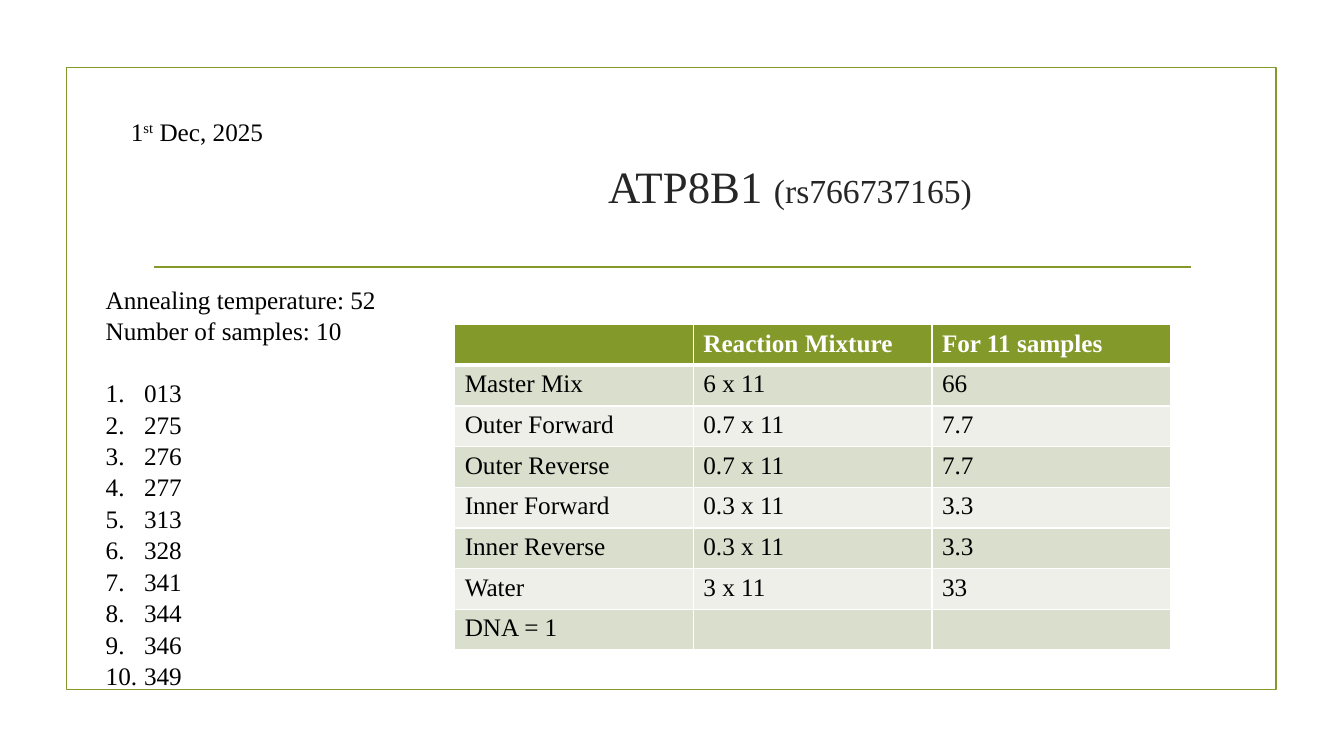
from dataclasses import dataclass

from lxml.etree import SubElement
from pptx import Presentation
from pptx.dml.color import RGBColor as RGB
from pptx.enum.shapes import MSO_CONNECTOR as CONNECTOR, MSO_SHAPE as SHAPE
from pptx.enum.text import MSO_ANCHOR as ANCHOR, PP_ALIGN as ALIGN
from pptx.oxml.ns import qn
from pptx.util import Inches, Pt

DATE = [("1", {}), ("st", {"superscript": True}), (" Dec, 2025", {})]
GENE, VARIANT = "ATP8B1 ", "(rs766737165)"
RUN_FACTS = ["Annealing temperature: 52", "Number of samples: 10"]
SAMPLES = ["013", "275", "276", "277", "313", "328", "341", "344", "346", "349"]
MIXTURE = [
    ("", "Reaction Mixture", "For 11 samples"),
    ("Master Mix", "6 x 11", "66"),
    ("Outer Forward", "0.7 x 11", "7.7"),
    ("Outer Reverse", "0.7 x 11", "7.7"),
    ("Inner Forward", "0.3 x 11", "3.3"),
    ("Inner Reverse", "0.3 x 11", "3.3"),
    ("Water", "3 x 11", "33"),
    ("DNA = 1", "", ""),
]


@dataclass(frozen=True)
class Theme:
    font: str = "Times New Roman"
    green: str = "83992A"
    title: str = "262626"
    text: str = "000000"
    white: str = "FFFFFF"
    bands: tuple = ("EDEFE8", "D9DECD")
    title_size: int = 32
    variant_size: int = 24
    body_size: int = 18
    line_width: float = 1.25
    border: int = 1
    header_border: int = 3
    line_spacing: float = 1.04


THEME = Theme()


def box(*lengths):
    return [Inches(v) for v in lengths]


def add_text(p, text, size=THEME.body_size, color=THEME.text, bold=False,
             superscript=False):
    r = p.add_run()
    r.text = text
    r.font.name = THEME.font
    r.font.size = Pt(size)
    r.font.bold = bold
    r.font.color.rgb = RGB.from_string(color)
    if superscript:
        r.font._element.set("baseline", "30000")


def number_paragraph(p, indent=0.38):
    pPr = p._p.get_or_add_pPr()
    pPr.set("marL", str(Inches(indent)))
    pPr.set("indent", str(-Inches(indent)))
    SubElement(pPr, qn("a:buFont"), typeface=THEME.font)
    SubElement(pPr, qn("a:buAutoNum"), type="arabicPeriod")


def style_line(line):
    line.color.rgb = RGB.from_string(THEME.green)
    line.width = Pt(THEME.line_width)


def add_frame(slide):
    frame = slide.shapes.add_shape(SHAPE.RECTANGLE, *box(0.66, 0.67, 12, 6.17))
    frame.shadow.inherit = False
    frame.fill.background()
    style_line(frame.line)
    rule = slide.shapes.add_connector(CONNECTOR.STRAIGHT, *box(1.53, 2.65, 11.81, 2.65))
    SubElement(rule._element.spPr, qn("a:effectLst"))
    style_line(rule.line)


def add_title(slide):
    title = slide.shapes.title
    title.left, title.top, title.width, title.height = box(5.58, 1.5, 4.51, 0.69)
    tf = title.text_frame
    tf.vertical_anchor = ANCHOR.MIDDLE
    p = tf.paragraphs[0]
    p.alignment = ALIGN.CENTER
    add_text(p, GENE, size=THEME.title_size, color=THEME.title)
    add_text(p, VARIANT, size=THEME.variant_size, color=THEME.title)


def add_text_box(slide, *place):
    tf = slide.shapes.add_textbox(*box(*place)).text_frame
    tf.word_wrap = True
    return tf


def add_samples(slide):
    tf = add_text_box(slide, 0.95, 2.76, 3.35, 4)
    for i, line in enumerate(RUN_FACTS + SAMPLES):
        p = tf.add_paragraph() if i else tf.paragraphs[0]
        if i >= len(RUN_FACTS):
            number_paragraph(p)
        p.line_spacing = THEME.line_spacing
        if i == len(RUN_FACTS):
            p.space_before = Pt(21.6)
        add_text(p, line)


def set_borders(cell, **widths):
    tcPr = cell._tc.get_or_add_tcPr()
    for side in "LRTB":
        width = widths.get(side, THEME.border)
        ln = SubElement(tcPr, qn(f"a:ln{side}"), w=str(Pt(width)))
        fill = SubElement(ln, qn("a:solidFill"))
        SubElement(fill, qn("a:srgbClr"), val=THEME.white)


def add_mixture_table(slide):
    rows, cols = len(MIXTURE), len(MIXTURE[0])
    place = box(4.51, 3.22, 7.1, 3.23)
    table = slide.shapes.add_table(rows, cols, *place).table
    for i, values in enumerate(MIXTURE):
        header = i == 0
        fill = THEME.green if header else THEME.bands[i % 2]
        for j, value in enumerate(values):
            cell = table.cell(i, j)
            set_borders(cell,
                        T=THEME.header_border if i == 1 else THEME.border,
                        B=THEME.header_border if header else THEME.border)
            cell.fill.solid()
            cell.fill.fore_color.rgb = RGB.from_string(fill)
            if value:
                add_text(cell.text_frame.paragraphs[0], value, bold=header,
                         color=THEME.white if header else THEME.text)


def main():
    prs = Presentation()
    prs.slide_width, prs.slide_height = box(13.33, 7.5)
    slide = prs.slides.add_slide(prs.slide_layouts[5])
    add_frame(slide)
    add_title(slide)
    date = add_text_box(slide, 1.2, 1.1, 2.84, 0.4).paragraphs[0]
    for text, style in DATE:
        add_text(date, text, **style)
    add_samples(slide)
    add_mixture_table(slide)
    prs.save("out.pptx")


if __name__ == "__main__":
    main()
